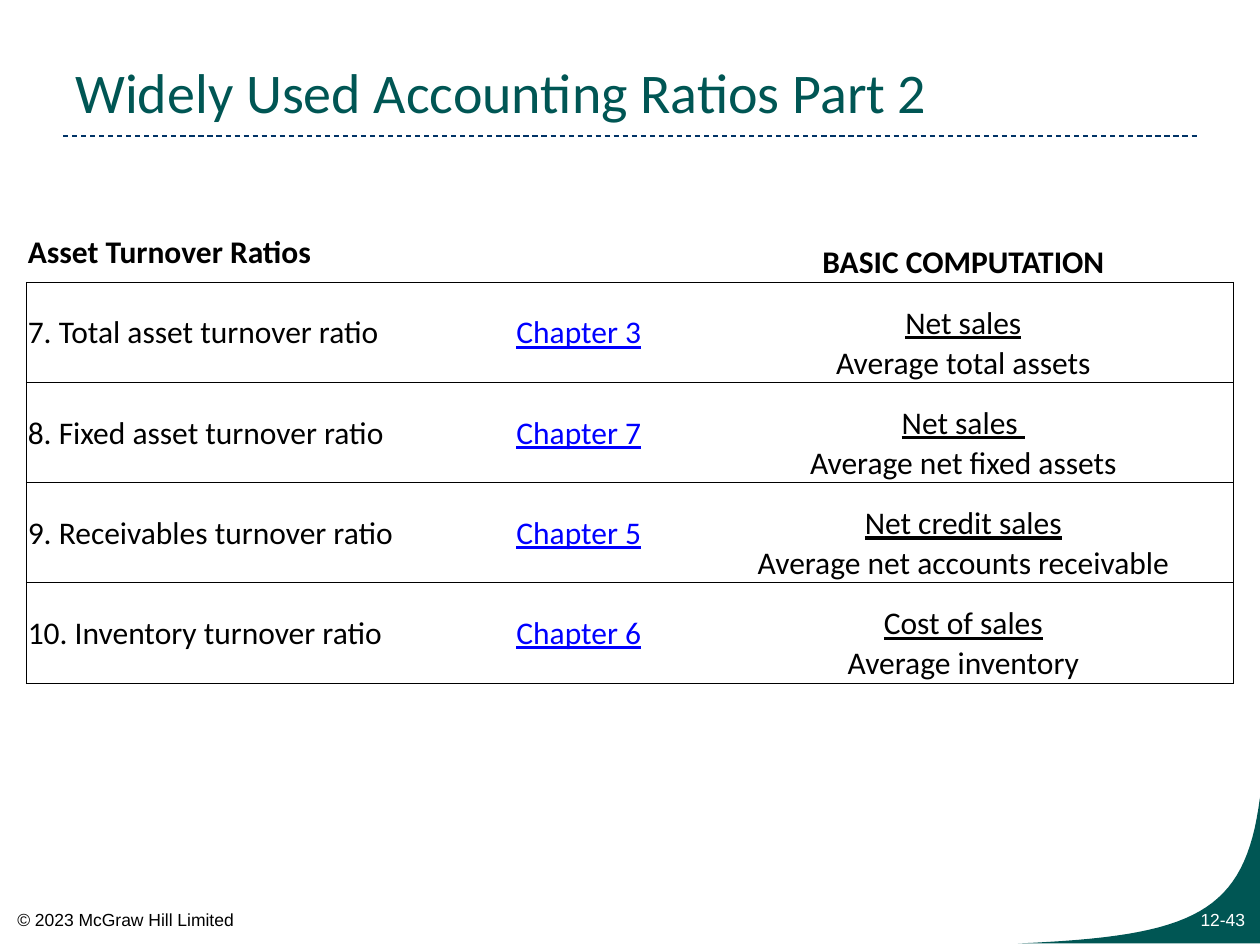
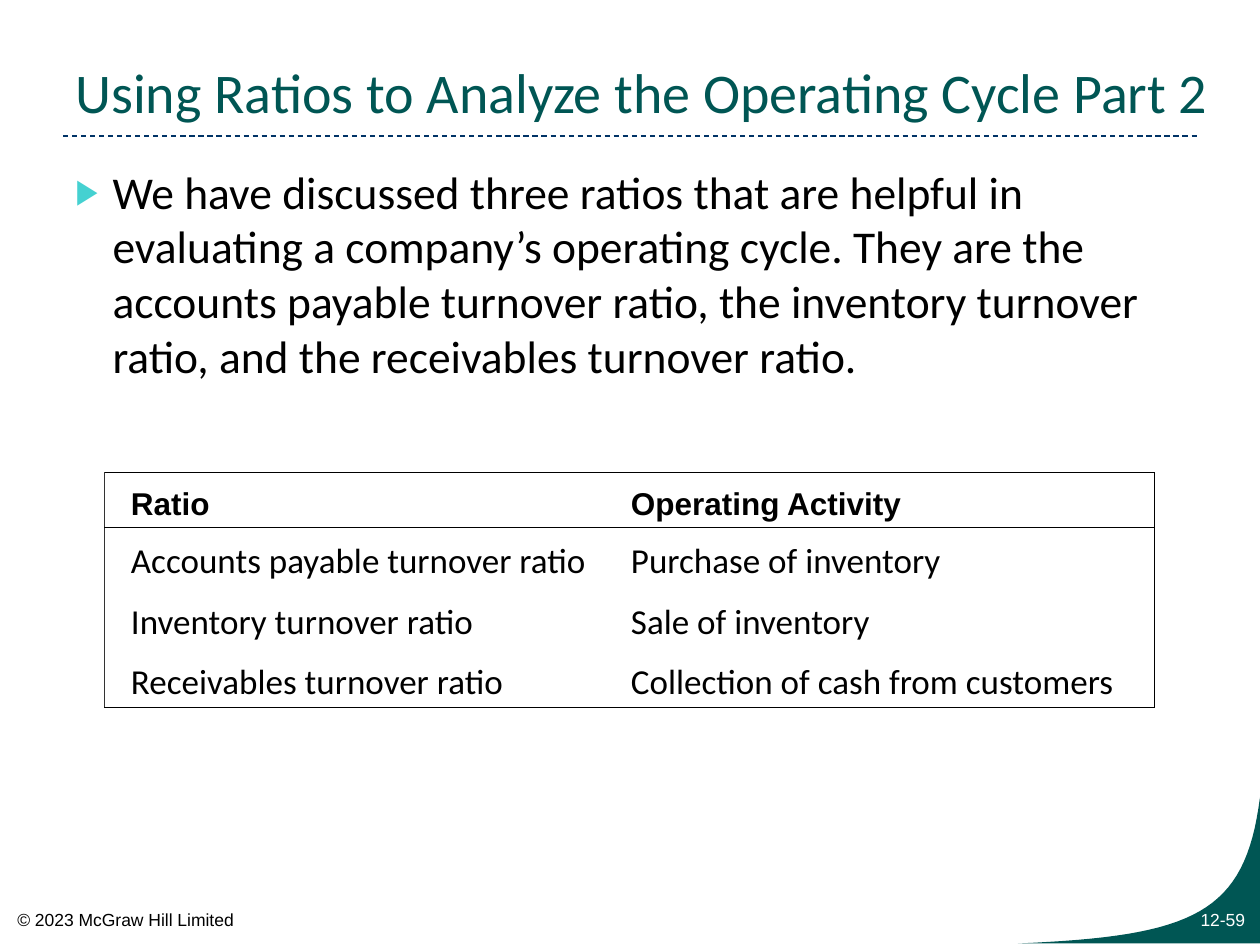
from dataclasses import dataclass, field

from lxml.etree import SubElement
from pptx import Presentation
from pptx.dml.color import RGBColor
from pptx.enum.dml import MSO_LINE
from pptx.enum.shapes import MSO_CONNECTOR
from pptx.enum.text import MSO_ANCHOR, PP_ALIGN
from pptx.oxml import parse_xml
from pptx.oxml.ns import nsdecls, qn
from pptx.util import Cm, Pt

TEAL = RGBColor(0x00, 0x56, 0x54)
NAVY = RGBColor(0x00, 0x33, 0x66)
AQUA = RGBColor(0x45, 0xD1, 0xD1)
BLUE = RGBColor(0x00, 0x00, 0xFF)
GREY = RGBColor(0x33, 0x33, 0x33)
BLACK = RGBColor(0x00, 0x00, 0x00)
WHITE = RGBColor(0xFF, 0xFF, 0xFF)
SANS = "Arial"
BODY = "Calibri"

RATIOS = [
    ("7. Total asset turnover ratio", "Chapter 3", "Net sales", "Average total assets"),
    ("8. Fixed asset turnover ratio", "Chapter 7", "Net sales ", "Average net fixed assets"),
    ("9. Receivables turnover ratio", "Chapter 5", "Net credit sales",
     "Average net accounts receivable"),
    ("10. Inventory turnover ratio", "Chapter 6", "Cost of sales", "Average inventory"),
]
CYCLE = [
    ("Ratio", "Operating Activity"),
    ("Accounts payable turnover ratio", "Purchase of inventory"),
    ("Inventory turnover ratio", "Sale of inventory"),
    ("Receivables turnover ratio", "Collection of cash from customers"),
]
INTRO = (
    "We have discussed three ratios that are helpful in evaluating a company’s operating "
    "cycle. They are the accounts payable turnover ratio, the inventory turnover ratio, "
    "and the receivables turnover ratio."
)


@dataclass
class Box:
    left: float
    top: float
    width: float
    height: float

    def size(self) -> tuple:
        return Cm(self.left), Cm(self.top), Cm(self.width), Cm(self.height)


@dataclass
class Edge:
    color: RGBColor = BLACK
    width: float = 0.5


@dataclass
class Entry:
    """A table cell: its text, drawn edges by side (L, R, T, B) and format."""
    text: str = ""
    edges: dict = field(default_factory=dict)
    pads: tuple = (0.03, 0.03, 0.03, 0)
    anchor: MSO_ANCHOR = MSO_ANCHOR.MIDDLE
    style: dict = field(default_factory=dict)


def write(frame, text: str, *, size: float = 18, font: str = BODY, color=BLACK,
          bold: bool = False, under: bool = False, align=PP_ALIGN.LEFT,
          bullet: str = "") -> None:
    para = frame.paragraphs[0]
    para.alignment = align
    if bullet:
        props = para._p.get_or_add_pPr()
        props.set("marL", str(Cm(0.75)))
        props.set("indent", str(Cm(-0.75)))
        tint = SubElement(props, qn("a:buClr"))
        SubElement(tint, qn("a:srgbClr"), val=str(AQUA))
        SubElement(props, qn("a:buSzPct"), val="76000")
        SubElement(props, qn("a:buFont"), typeface=SANS)
        SubElement(props, qn("a:buChar"), char=bullet)
    run = para.add_run()
    run.text = text
    run.font.size = Pt(size)
    run.font.name = font
    run.font.color.rgb = color
    run.font.bold = bold
    run.font.underline = under


def add_text(slide, box: Box, text: str, *, anchor=MSO_ANCHOR.TOP, wrap: bool = True,
             **style) -> None:
    frame = slide.shapes.add_textbox(*box.size()).text_frame
    frame.word_wrap = wrap
    frame.vertical_anchor = anchor
    write(frame, text, **style)


def add_rule(slide) -> None:
    rule = slide.shapes.add_connector(
        MSO_CONNECTOR.STRAIGHT, Cm(1.27), Cm(2.74), Cm(24.13), Cm(2.74))
    rule.line.color.rgb = NAVY
    rule.line.width = Pt(0.75)
    rule.line.dash_style = MSO_LINE.DASH
    SubElement(rule._element.spPr, qn("a:effectLst"))


def add_corner(slide) -> None:
    """Fill the bottom right corner under a cubic curve."""
    knots = [(20.52, 19.02), (24.08, 18.87), (25.1, 18.42), (25.4, 16.08)]
    steps = 32
    curve = []
    for step in range(steps + 1):
        t = step / steps
        parts = ((1 - t) ** 3, 3 * t * (1 - t) ** 2, 3 * t * t * (1 - t), t ** 3)
        curve.append(tuple(
            Cm(sum(part * knot[axis] for part, knot in zip(parts, knots)))
            for axis in (0, 1)))
    pen = slide.shapes.build_freeform(*curve[0])
    pen.add_line_segments(curve[1:] + [(Cm(25.4), Cm(19.02))], close=True)
    corner = pen.convert_to_shape()
    corner.shadow.inherit = False
    corner.fill.solid()
    corner.fill.fore_color.rgb = TEAL
    corner.line.fill.background()


def add_slide(deck, title: str, number: str, width: float = 22.86):
    slide = deck.slides.add_slide(deck.slide_layouts[6])
    add_rule(slide)
    add_corner(slide)
    add_text(slide, Box(22.86, 18.19, 2.49, 0.68), number, size=10, font=SANS,
             color=WHITE, align=PP_ALIGN.RIGHT)
    add_text(slide, Box(0.1, 18.21, 4.93, 0.68), "© 2023 McGraw Hill Limited",
             size=10, font=SANS, wrap=False)
    add_text(slide, Box(1.27, 0.43, width, 2.21), title, size=32, color=TEAL,
             anchor=MSO_ANCHOR.BOTTOM)
    return slide


def set_edges(cell, edges: dict) -> None:
    props = cell._tc.get_or_add_tcPr()
    for spot, side in enumerate("LRTB"):
        edge = edges.get(side)
        width = Pt(edge.width) if edge else 0
        fill = (f'<a:solidFill><a:srgbClr val="{edge.color}"/></a:solidFill>'
                if edge else "<a:noFill/>")
        props.insert(spot, parse_xml(
            f'<a:ln{side} {nsdecls("a")} w="{width}">{fill}</a:ln{side}>'))


def add_grid(slide, left: float, top: float, cols: list, rows: list, grid: list):
    box = Box(left, top, sum(cols), sum(rows))
    table = slide.shapes.add_table(len(rows), len(cols), *box.size()).table
    table.first_row = table.horz_banding = False
    for col, width in zip(table.columns, cols):
        col.width = Cm(width)
    for row, height, entries in zip(table.rows, rows, grid):
        row.height = Cm(height)
        for cell, entry in zip(row.cells, entries):
            (cell.margin_left, cell.margin_top,
             cell.margin_right, cell.margin_bottom) = map(Cm, entry.pads)
            cell.vertical_anchor = entry.anchor
            cell.fill.solid()
            cell.fill.fore_color.rgb = WHITE
            set_edges(cell, entry.edges)
            if entry.text:
                write(cell.text_frame, entry.text, **entry.style)
    return table


def add_ratios(deck) -> None:
    slide = add_slide(deck, "Widely Used Accounting Ratios Part 2", "12-43")
    line = Edge()
    low = MSO_ANCHOR.BOTTOM
    mid = {"align": PP_ALIGN.CENTER}
    base = {"B": line}
    both = {"T": line, "B": line}
    grid = [[
        Entry("Asset Turnover Ratios", base, style={"bold": True}),
        Entry(edges=base),
        Entry("BASIC COMPUTATION", base, anchor=low, style={**mid, "bold": True}),
    ]]
    for name, chapter, upper, lower in RATIOS:
        grid.append([
            Entry(name, {**both, "L": line}),
            Entry(chapter, both, style={"color": BLUE, "under": True}),
            Entry(upper, {"T": line, "R": line}, anchor=low, style={**mid, "under": True}),
        ])
        grid.append([
            Entry(edges={"L": line, "B": line}),
            Entry(edges=base),
            Entry(lower, {"R": line, "B": line}, anchor=low, style=mid),
        ])
    rows = [1.22] + [1.22, 0.8] * len(RATIOS)
    table = add_grid(slide, 0.53, 4.47, [9.85, 3.6, 10.88], rows, grid)
    for row in range(1, len(rows), 2):
        for col in (0, 1):
            table.cell(row, col).merge(table.cell(row + 1, col))


def add_cycle(deck) -> None:
    slide = add_slide(deck, "Using Ratios to Analyze the Operating Cycle Part 2",
                      "12-59", width=23.7)
    add_text(slide, Box(1.27, 3.18, 22.86, 14.81), INTRO, size=26, bullet="▶")
    line = Edge(width=0.75)
    sides = [("L", Edge(GREY, 0.75), 0.53), ("R", Edge(width=1), 0.25)]
    grid = []
    for row, texts in enumerate(CYCLE):
        head = row == 0
        style = {"size": 18, "font": SANS, "bold": True} if head else {"size": 20}
        flat = {}
        if row <= 1:
            flat["T"] = line
        if head or row == len(CYCLE) - 1:
            flat["B"] = line
        grid.append([
            Entry(text, {**flat, side: edge}, (pad, 0.25, 0.25, 0.08), style=style)
            for text, (side, edge, pad) in zip(texts, sides)])
    add_grid(slide, 2.11, 9.53, [10.36, 10.8], [1.11] + [1.21] * 3, grid)


def main() -> None:
    deck = Presentation()
    deck.slide_width, deck.slide_height = Cm(25.4), Cm(19.05)
    add_ratios(deck)
    add_cycle(deck)
    deck.save("out.pptx")


if __name__ == "__main__":
    main()
